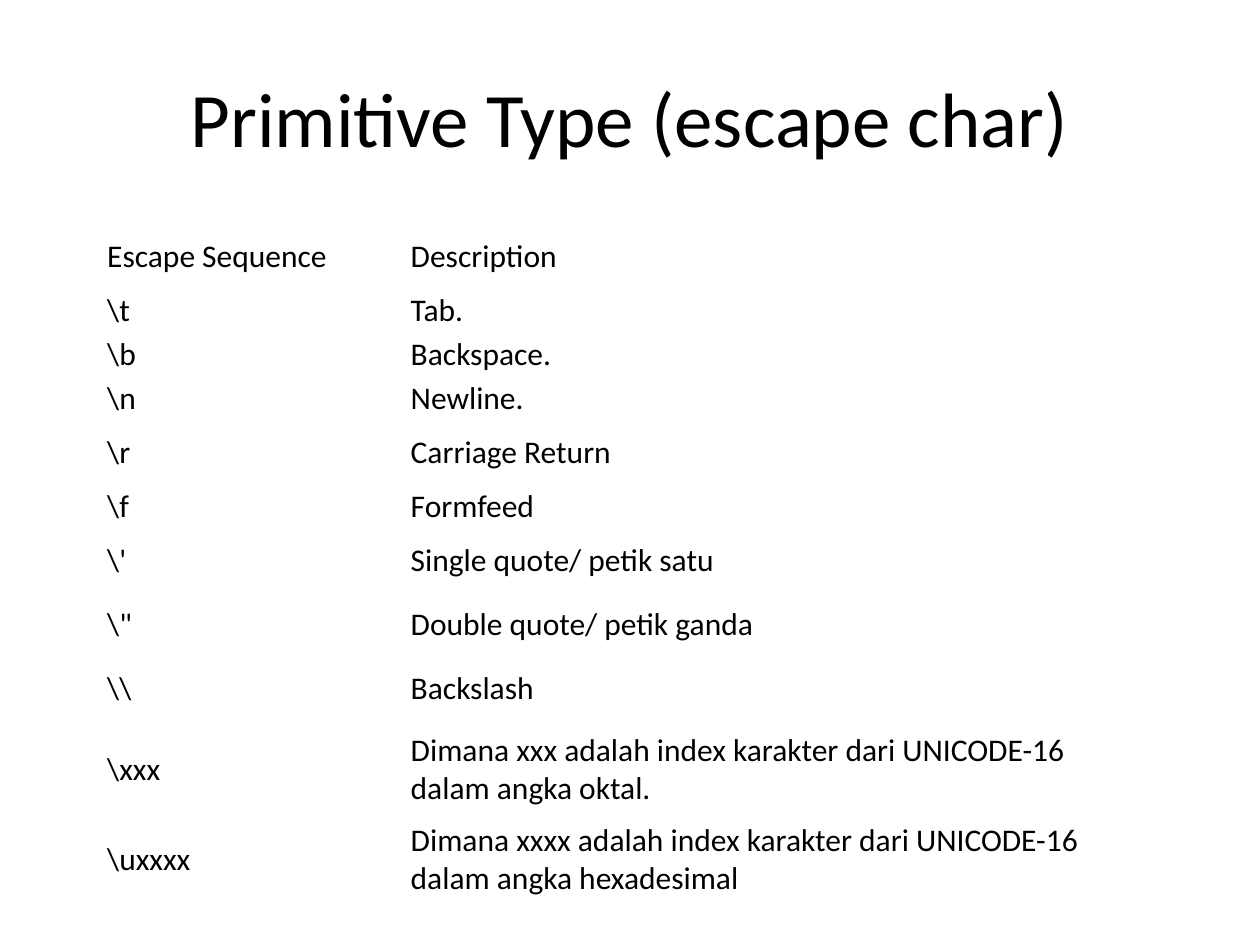
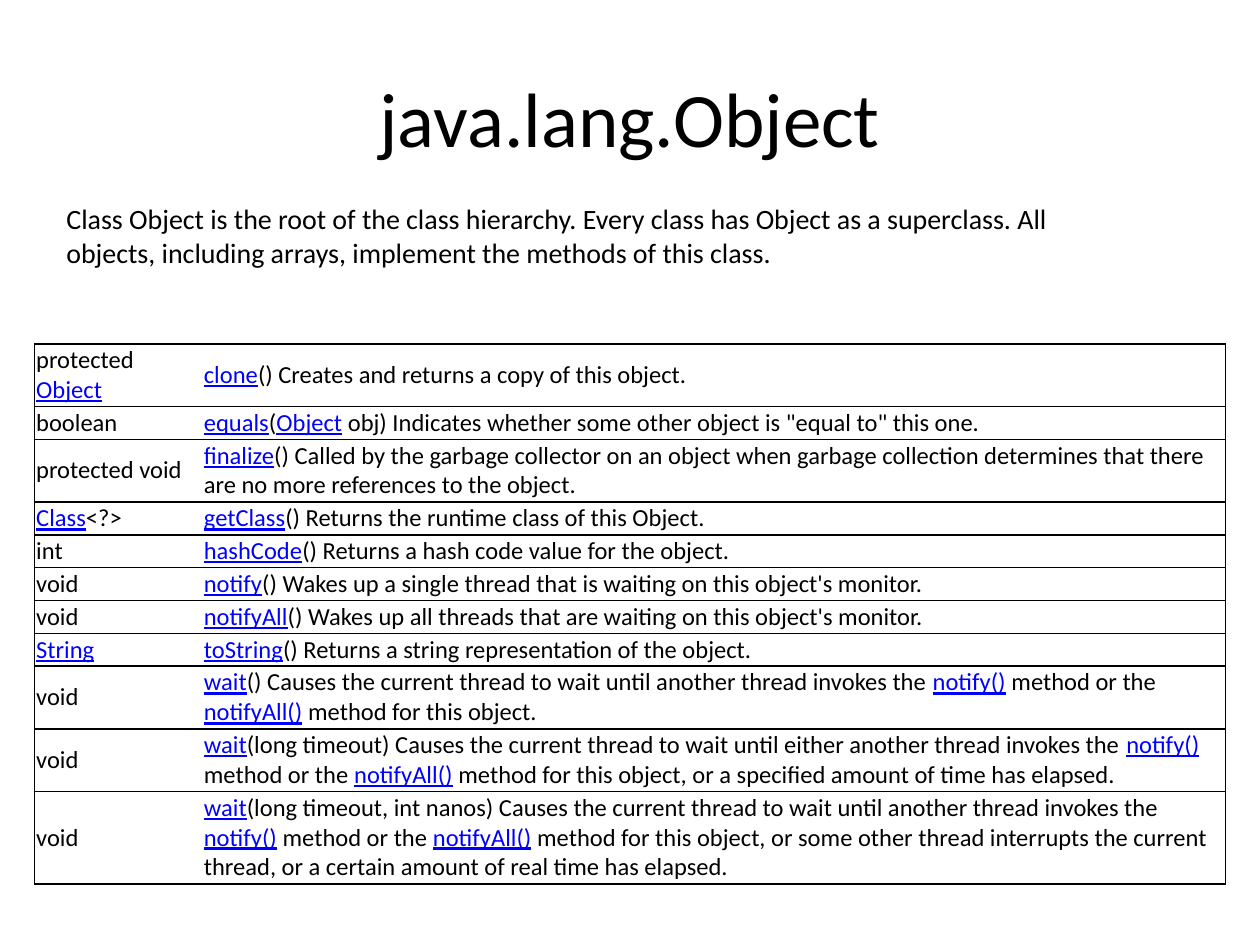
from lxml.etree import SubElement
from pptx import Presentation
from pptx.dml.color import RGBColor
from pptx.enum.text import MSO_ANCHOR, PP_ALIGN
from pptx.oxml.ns import qn
from pptx.util import Cm, Pt

BLACK = RGBColor(0x00, 0x00, 0x00)
WHITE = RGBColor(0xFF, 0xFF, 0xFF)
LINK_BLUE = RGBColor(0x00, 0x00, 0xFF)
FONT = "Calibri"
TITLE_ONLY = 5
NO_STYLE = "{2D5ABB26-0587-4C30-8999-92F81FD0307C}"

SMALL_ROW, TALL_ROW = 0.89, 1.29
ESCAPE_ROWS = [
    (TALL_ROW, "Escape Sequence", "Description"),
    (SMALL_ROW, r"\t", "Tab."),
    (SMALL_ROW, r"\b", "Backspace."),
    (SMALL_ROW, r"\n", "Newline."),
    (TALL_ROW, r"\r", "Carriage Return"),
    (SMALL_ROW, r"\f", "Formfeed"),
    (TALL_ROW, r"\'", "Single quote/ petik satu"),
    (TALL_ROW, r"\"", "Double quote/ petik ganda"),
    (TALL_ROW, r"\\", "Backslash"),
    (1.98, r"\xxx", "Dimana xxx adalah index karakter dari UNICODE-16 dalam angka oktal."),
    (1.65, r"\uxxxx", "Dimana xxxx adalah index karakter dari UNICODE-16 dalam angka hexadesimal"),
]

# Square brackets mark link text.
ONE_LINE, TWO_LINES, THREE_LINES = 0.65, 1.25, 1.85
METHOD_ROWS = [
    (TWO_LINES, "protected [Object]", "[clone]() Creates and returns a copy of this object."),
    (ONE_LINE, "boolean",
     '[equals]([Object] obj) Indicates whether some other object is "equal to" this one.'),
    (TWO_LINES, "protected void",
     "[finalize]() Called by the garbage collector on an object when garbage collection "
     "determines that there are no more references to the object."),
    (ONE_LINE, "[Class]<?>", "[getClass]() Returns the runtime class of this Object."),
    (ONE_LINE, "int", "[hashCode]() Returns a hash code value for the object."),
    (ONE_LINE, "void",
     "[notify]() Wakes up a single thread that is waiting on this object's monitor."),
    (ONE_LINE, "void",
     "[notifyAll]() Wakes up all threads that are waiting on this object's monitor."),
    (ONE_LINE, "[String]", "[toString]() Returns a string representation of the object."),
    (TWO_LINES, "void",
     "[wait]() Causes the current thread to wait until another thread invokes the "
     "[notify()] method or the [notifyAll()] method for this object."),
    (TWO_LINES, "void",
     "[wait](long timeout) Causes the current thread to wait until either another thread "
     "invokes the [notify()] method or the [notifyAll()] method for this object, "
     "or a specified amount of time has elapsed."),
    (THREE_LINES, "void",
     "[wait](long timeout, int nanos) Causes the current thread to wait until another thread "
     "invokes the [notify()] method or the [notifyAll()] method for this object, "
     "or some other thread interrupts the current thread, "
     "or a certain amount of real time has elapsed."),
]


def add_run(paragraph, text, size, color=BLACK):
    run = paragraph.add_run()
    run.text = text
    run.font.name = FONT
    run.font.size = Pt(size)
    run.font.color.rgb = color
    return run


def add_marked_text(paragraph, text, size):
    """Add runs, with bracketed parts underlined and blue."""
    for index, part in enumerate(text.replace("]", "[").split("[")):
        if not part:
            continue
        if index % 2:
            add_run(paragraph, part, size, LINK_BLUE).font.underline = True
        else:
            add_run(paragraph, part, size)


def add_titled_slide(presentation, title_text):
    slide = presentation.slides.add_slide(presentation.slide_layouts[TITLE_ONLY])
    title = slide.shapes.title
    title.left, title.top, title.width, title.height = Cm(1.27), Cm(0.76), Cm(22.86), Cm(3.18)
    title.text_frame.vertical_anchor = MSO_ANCHOR.MIDDLE
    paragraph = title.text_frame.paragraphs[0]
    paragraph.alignment = PP_ALIGN.CENTER
    add_run(paragraph, title_text, 44)
    return slide


def add_borders(cell, sides):
    properties = cell._tc.get_or_add_tcPr()
    for side in sides:
        line = SubElement(properties, qn(f"a:ln{side}"), w=str(Pt(1)))
        fill = SubElement(line, qn("a:solidFill"))
        SubElement(fill, qn("a:srgbClr"), val=str(BLACK))


def add_text_table(slide, left, top, column_widths, rows, size, margin, boxed=False):
    """Add a two-column table; boxed rows are white with a black outline."""
    frame = slide.shapes.add_table(
        len(rows), len(column_widths), Cm(left), Cm(top),
        Cm(sum(column_widths)), Cm(sum(row[0] for row in rows)))
    table = frame.table
    table.first_row = table.horz_banding = False
    table._tbl.tblPr.find(qn("a:tableStyleId")).text = NO_STYLE
    for column, width in zip(table.columns, column_widths):
        column.width = Cm(width)
    for table_row, (height, *texts) in zip(table.rows, rows):
        table_row.height = Cm(height)
        for cell, text, sides in zip(table_row.cells, texts, ("LTB", "RTB")):
            cell.margin_left = cell.margin_right = Cm(margin)
            cell.margin_top = cell.margin_bottom = Cm(margin)
            cell.vertical_anchor = MSO_ANCHOR.MIDDLE
            add_marked_text(cell.text_frame.paragraphs[0], text, size)
            if boxed:
                add_borders(cell, sides)
                cell.fill.solid()
                cell.fill.fore_color.rgb = WHITE


def add_text_box(slide, left, top, width, height, text, size):
    text_frame = slide.shapes.add_textbox(
        Cm(left), Cm(top), Cm(width), Cm(height)).text_frame
    text_frame.word_wrap = True
    add_run(text_frame.paragraphs[0], text, size)


def main():
    presentation = Presentation()
    presentation.slide_width, presentation.slide_height = Cm(25.4), Cm(19.05)

    escape_slide = add_titled_slide(presentation, "Primitive Type (escape char)")
    add_text_table(escape_slide, 2.11, 4.52, (6.12, 14.27), ESCAPE_ROWS, size=18, margin=0.05)

    object_slide = add_titled_slide(presentation, "java.lang.Object")
    add_text_table(object_slide, 0.7, 6.93, (3.38, 20.62), METHOD_ROWS,
                   size=14, margin=0.03, boxed=True)
    add_text_box(
        object_slide, 1.09, 3.94, 20.6, 2.31,
        "Class Object is the root of the class hierarchy. Every class has Object as a "
        "superclass. All objects, including arrays, implement the methods of this class.", 16)

    presentation.save("out.pptx")


if __name__ == "__main__":
    main()
